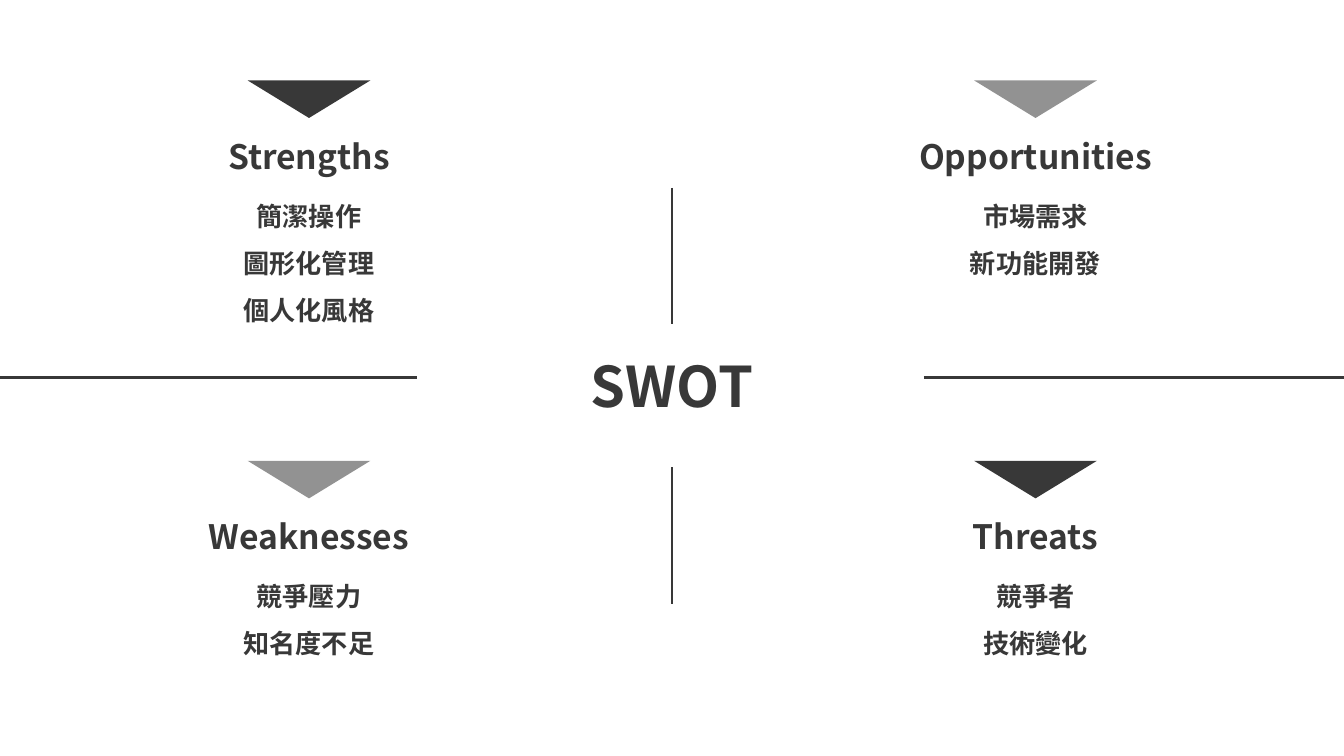
from lxml.etree import SubElement
from pptx import Presentation
from pptx.dml.color import RGBColor
from pptx.enum.shapes import MSO_CONNECTOR, MSO_SHAPE
from pptx.enum.text import MSO_ANCHOR, PP_ALIGN
from pptx.oxml.ns import qn
from pptx.util import Cm, Pt

DARK = RGBColor(0x38, 0x38, 0x38)
GRAY = RGBColor(0x92, 0x92, 0x92)
FONT = "Noto Sans CJK TC"
LEFT, RIGHT = 5.84, 19.57
TOP, BOTTOM = 1.52, 8.71

presentation = Presentation()
presentation.slide_width = Cm(25.4)
presentation.slide_height = Cm(14.29)
slide = presentation.slides.add_slide(presentation.slide_layouts[6])


def add_text(center, top, width, height, lines, size, anchor=MSO_ANCHOR.TOP, spacing=1.0):
    box = slide.shapes.add_textbox(Cm(center - width / 2), Cm(top), Cm(width), Cm(height))
    frame = box.text_frame
    frame.word_wrap = True
    frame.vertical_anchor = anchor
    frame.margin_left = frame.margin_right = Cm(0.25)
    frame.margin_top = frame.margin_bottom = Cm(0.25)
    for index, line in enumerate(lines):
        paragraph = frame.add_paragraph() if index else frame.paragraphs[0]
        paragraph.alignment = PP_ALIGN.CENTER
        paragraph.line_spacing = spacing
        run = paragraph.add_run()
        run.text = line
        run.font.size = Pt(size)
        run.font.bold = True
        run.font.color.rgb = DARK
        run.font.name = FONT
        SubElement(run.font._element, qn("a:ea"), typeface=FONT)


add_text(12.7, 6.4, 17.7, 1.47, ["SWOT"], 30)

quadrants = [
    (LEFT, TOP, DARK, "Strengths", ["簡潔操作", "圖形化管理", "個人化風格"]),
    (LEFT, BOTTOM, GRAY, "Weaknesses", ["競爭壓力", "知名度不足"]),
    (RIGHT, TOP, GRAY, "Opportunities", ["市場需求", "新功能開發"]),
    (RIGHT, BOTTOM, DARK, "Threats", ["競爭者", "技術變化"]),
]
for center, top, color, heading, points in quadrants:
    add_text(center, top + 0.96, 5.44, 0.94, [heading], 18, anchor=MSO_ANCHOR.MIDDLE)
    add_text(center, top + 1.72, 7.59, 2.24, points, 14, spacing=1.5)
    triangle = slide.shapes.add_shape(
        MSO_SHAPE.ISOSCELES_TRIANGLE, Cm(center - 1.16), Cm(top), Cm(2.32), Cm(0.71)
    )
    triangle.rotation = 180
    triangle.shadow.inherit = False
    triangle.fill.solid()
    triangle.fill.fore_color.rgb = color
    triangle.line.fill.background()

dividers = [
    (0, 7.14, 7.88, 7.14),
    (17.46, 7.14, 25.4, 7.14),
    (12.7, 3.55, 12.7, 6.13),
    (12.7, 8.83, 12.7, 11.42),
]
for ends in dividers:
    divider = slide.shapes.add_connector(MSO_CONNECTOR.STRAIGHT, *map(Cm, ends))
    divider.line.color.rgb = DARK
    divider.line.width = Pt(1.5)
    SubElement(divider._element.spPr, qn("a:effectLst"))

presentation.save("out.pptx")
